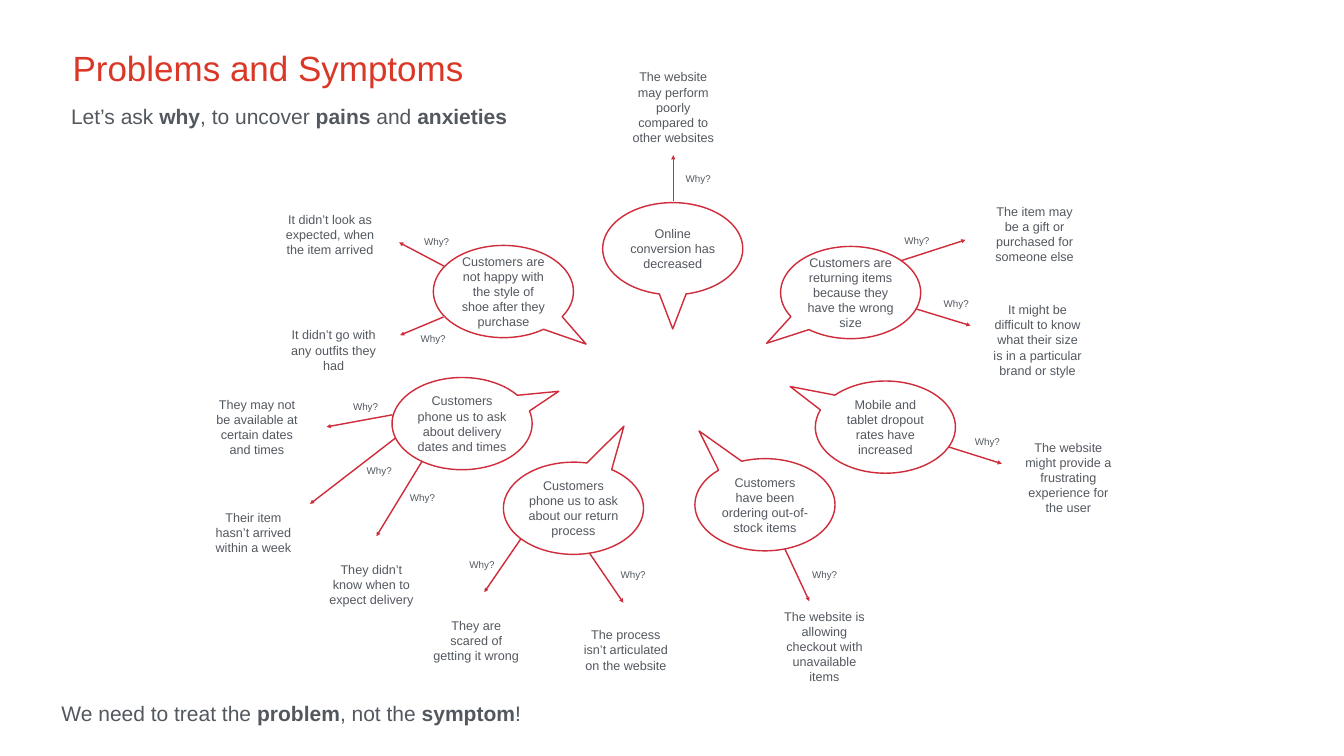
import pptx
import pptx.util
import pptx.dml.color
import pptx.enum.shapes
import pptx.enum.text
import pptx.oxml.ns
from lxml import etree

PX = 9144
RED = pptx.dml.color.RGBColor(0xCF, 0x2D, 0x3B)
TITLE_RED = pptx.dml.color.RGBColor(0xDA, 0x37, 0x27)
GREY = pptx.dml.color.RGBColor(0x53, 0x58, 0x5F)
WHITE = pptx.dml.color.RGBColor(0xFF, 0xFF, 0xFF)
SHAPE = pptx.enum.shapes.MSO_SHAPE
ALIGN = pptx.enum.text.PP_ALIGN
CALLOUT_SIZE = (278, 183)
CAUSE_SIZE = (278, 191)
WHY_SIZE = (67, 39)

# Each problem: text, position, pointer, causes (text, position, arrow start, arrow end, why position)
PROBLEMS = [
    ("Online conversion has decreased", (1196, 402), (0, 0.87), [
        ("The website may perform poorly compared to other websites",
         (1197, 117), (1336, 399), (1336, 308), (1352, 334)),
    ]),
    ("Mobile and tablet dropout rates have increased", (1618, 756), (-0.68, -0.44), [
        ("The website might provide a frustrating experience for the user",
         (1981, 852), (1880, 886), (1988, 920), (1926, 856)),
    ]),
    ("Customers phone us to ask about delivery dates and times", (778, 749), (0.69, -0.35), [
        ("They may not be available at certain dates and times",
         (371, 752), (779, 823), (648, 847), (692, 788)),
        ("Their item hasn’t arrived within a week",
         (364, 961), (785, 869), (615, 1000), (719, 914)),
        ("They didn’t know when to expect delivery",
         (598, 1064), (839, 913), (747, 1064), (805, 968)),
    ]),
    ("Customers are returning items because they have the wrong size",
     (1549, 489), (-0.6, 0.55), [
        ("It might be difficult to know what their size is in a particular brand or style",
         (1920, 579), (1818, 613), (1926, 646), (1864, 583)),
        ("The item may be a gift or purchased for someone else",
         (1914, 369), (1789, 517), (1916, 476), (1786, 457)),
    ]),
    ("Customers phone us to ask about our return process", (999, 917), (0.36, -0.89), [
        ("The process isn’t articulated on the website",
         (1103, 1194), (1162, 1086), (1237, 1196), (1223, 1121)),
        ("They are scared of getting it wrong",
         (806, 1175), (1035, 1067), (961, 1175), (923, 1101)),
    ]),
    ("Customers are not happy with the style of shoe after they purchase",
     (860, 487), (0.59, 0.57), [
        ("It didn’t look as expected, when the item arrived",
         (516, 369), (881, 528), (792, 481), (833, 459)),
        ("It didn’t go with any outfits they had",
         (523, 599), (880, 629), (794, 665), (826, 652)),
    ]),
    ("Customers have been ordering out-of-stock items", (1379, 910), (-0.47, -0.8), [
        ("The website is allowing checkout with unavailable items",
         (1497, 1187), (1557, 1088), (1606, 1193), (1603, 1121)),
    ]),
]


def emu(*lengths):
    return [pptx.util.Emu(n * PX) for n in lengths]


def set_frame(sp, wrap=True):
    tf = sp.text_frame
    tf.word_wrap = wrap
    tf.auto_size = pptx.enum.text.MSO_AUTO_SIZE.NONE
    tf.vertical_anchor = pptx.enum.text.MSO_ANCHOR.MIDDLE
    tf.margin_left = tf.margin_top = tf.margin_right = tf.margin_bottom = emu(8)[0]
    return tf


def format_run(r, size, color=GREY, bold=False):
    r.font.name = "Arial"
    r.font.size = pptx.util.Pt(size)
    r.font.bold = bold
    r.font.color.rgb = color


def write(sp, text, size, color=GREY, align=ALIGN.CENTER, wrap=True):
    tf = set_frame(sp, wrap)
    tf.text = text
    p = tf.paragraphs[0]
    p.alignment = align
    format_run(p.runs[0], size, color)


def add_title(s, text, box):
    sp = s.shapes.title
    sp.left, sp.top, sp.width, sp.height = emu(*box)
    write(sp, text, 50, TITLE_RED, ALIGN.LEFT)


def add_statement(s, parts, box):
    tf = set_frame(s.shapes.add_textbox(*emu(*box)), False)
    p = tf.paragraphs[0]
    p.alignment = ALIGN.LEFT
    p.line_spacing = 1.2
    for i, part in enumerate(parts):
        r = p.add_run()
        r.text = part
        format_run(r, 30, bold=i % 2 == 1)


def add_arrow(shapes, start, end):
    cx = shapes.add_connector(pptx.enum.shapes.MSO_CONNECTOR.STRAIGHT, *emu(*start, *end))
    cx.line.color.rgb = RED
    cx.line.width = pptx.util.Pt(2)
    qn = pptx.oxml.ns.qn
    etree.SubElement(cx.line._get_or_add_ln(), qn("a:tailEnd"), type="triangle")
    etree.SubElement(cx._element.spPr, qn("a:effectLst"))


def add_cause(s, text, pos, start, end, why_pos):
    shapes = s.shapes.add_group_shape().shapes
    sp = shapes.add_shape(SHAPE.OVAL, *emu(*pos, *CAUSE_SIZE))
    sp.shadow.inherit = False
    sp.fill.background()
    sp.line.fill.background()
    write(sp, text, 18)
    add_arrow(shapes, start, end)
    write(shapes.add_textbox(*emu(*why_pos, *WHY_SIZE)), "Why?", 14, wrap=False)


def add_callout(s, text, pos, pointer):
    sp = s.shapes.add_shape(SHAPE.OVAL_CALLOUT, *emu(*pos, *CALLOUT_SIZE))
    sp.shadow.inherit = False
    sp.adjustments[0], sp.adjustments[1] = pointer
    sp.fill.solid()
    sp.fill.fore_color.rgb = WHITE
    sp.line.color.rgb = RED
    sp.line.width = pptx.util.Pt(2)
    write(sp, text, 18)


def main():
    prs = pptx.Presentation()
    prs.slide_width, prs.slide_height = emu(2667, 1500)
    s = prs.slides.add_slide(prs.slide_layouts[5])
    add_title(s, "Problems and Symptoms", (136, 83, 841, 100))
    add_statement(s, ["Let’s ask ", "why", ", to uncover ", "pains", " and ", "anxieties"],
                  (133, 192, 885, 66))
    for text, pos, pointer, causes in PROBLEMS:
        for cause in causes:
            add_cause(s, *cause)
        add_callout(s, text, pos, pointer)
    add_statement(s, ["We need to treat the ", "problem", ", not the ", "symptom", "!"],
                  (114, 1377, 930, 66))
    prs.save("out.pptx")


if __name__ == "__main__":
    main()
